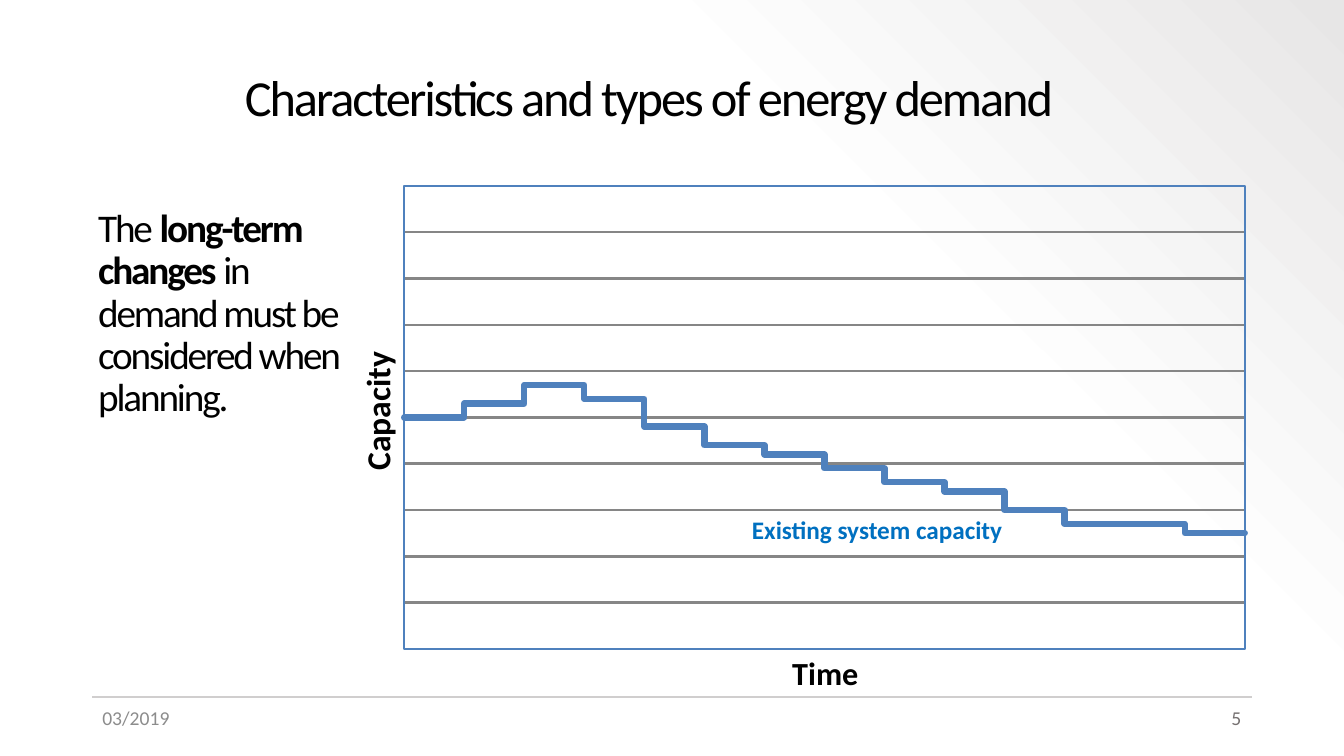
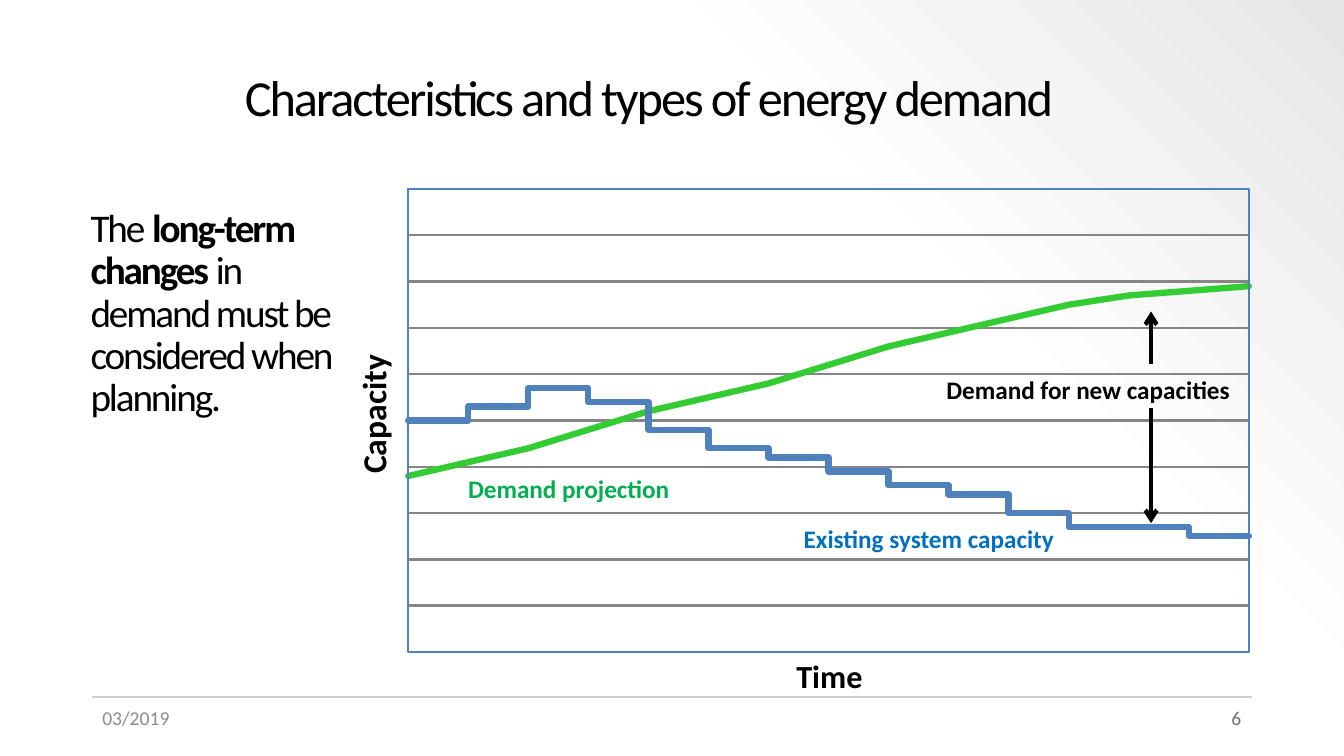
from dataclasses import dataclass

from lxml.etree import SubElement
from pptx import Presentation
from pptx.chart.data import XyChartData
from pptx.dml.color import RGBColor
from pptx.enum.chart import XL_CHART_TYPE, XL_TICK_LABEL_POSITION, XL_TICK_MARK
from pptx.enum.shapes import MSO_CONNECTOR, MSO_SHAPE
from pptx.enum.text import MSO_ANCHOR, PP_ALIGN
from pptx.oxml import parse_xml
from pptx.oxml.ns import nsdecls, qn
from pptx.util import Inches, Pt

# Slide grid: 96 columns by 54 rows of square cells
WIDTH, HEIGHT = Inches(13.333), Inches(7.5)
COLS, ROWS = 96, 54

FONT = "Calibri"
TITLE = "Characteristics and types of energy demand"
DATE = "03/2019"
BODY = [("The ", False), ("long-term changes", True),
        (" in demand must be considered when planning.", False)]

BLACK = RGBColor(0x00, 0x00, 0x00)
RULE_GREY = RGBColor(0xD0, 0xCE, 0xCE)
DATE_GREY = RGBColor(0x8C, 0x8C, 0x8C)
NUMBER_GREY = RGBColor(0x76, 0x71, 0x71)
GRID_GREY = RGBColor(0x86, 0x86, 0x86)
STEP_BLUE = RGBColor(0x4F, 0x81, 0xBD)
LABEL_BLUE = RGBColor(0x00, 0x70, 0xC0)
CURVE_GREEN = RGBColor(0x33, 0xCC, 0x33)
LABEL_GREEN = RGBColor(0x00, 0xB0, 0x50)

# Background stops: position, colour, opacity (percent)
BACKGROUND = [(0, "FFFFFF", 100), (69, "FDFDFD", 100), (100, "E7E6E6", 50)]

# Chart data: one capacity level per period, demand at each period boundary
CAPACITY = [5, 5.3, 5.7, 5.4, 4.8, 4.4, 4.2, 3.9, 3.6, 3.4, 3, 2.7, 2.7, 2.5]
DEMAND = [3.8, 4.1, 4.4, 4.8, 5.2, 5.5, 5.8, 6.2, 6.6, 6.9, 7.2, 7.5, 7.7,
          7.8, 7.9]
PLOT_W, PLOT_H, MARGIN = 60.05, 33.08, 1
LINE_H = 2.88


@dataclass
class Box:
    left: float
    top: float
    width: float
    height: float = LINE_H


@dataclass
class Label:
    text: str
    box: Box
    color: RGBColor


@dataclass
class Series:
    name: str
    points: list[tuple[float, float]]
    color: RGBColor


@dataclass
class Arrow:
    col: float
    start: float
    end: float


@dataclass
class Page:
    number: int
    body: Box
    plot_left: float
    plot_top: float
    capacity_left: float
    series: list[Series]
    labels: list[Label]
    arrows: list[Arrow]


STEPS = Series("Existing system capacity",
               [(x, y) for i, y in enumerate(CAPACITY) for x in (i, i + 1)],
               STEP_BLUE)
CURVE = Series("Demand projection", list(enumerate(DEMAND)), CURVE_GREEN)

PAGES = [
    Page(5, Box(6.3, 14.54, 19.22, 17.93), 28.87, 13.28, 20.81, [STEPS],
         [Label(STEPS.name, Box(53, 36.36, 19.51), LABEL_BLUE)], []),
    Page(6, Box(5.76, 14.54, 19.44, 17.93), 29.16, 13.5, 20.52,
         [STEPS, CURVE],
         [Label(STEPS.name, Box(56.7, 37.04, 19.51), LABEL_BLUE),
          Label("Demand for new capacities", Box(66.89, 26.35, 22.32), BLACK),
          Label(CURVE.name, Box(32.72, 33.48, 15.98), LABEL_GREEN)],
         [Arrow(82.22, 29.16, 37.37), Arrow(82.22, 25.99, 22.25)]),
]


def col(n: float) -> int:
    return round(WIDTH * n / COLS)


def row(n: float) -> int:
    return round(HEIGHT * n / ROWS)


def place(box: Box) -> tuple[int, int, int, int]:
    return col(box.left), row(box.top), col(box.width), row(box.height)


def add_text(slide, box: Box, runs: list[tuple[str, bool]], size: float,
             color: RGBColor, wrap: bool = True, inset: bool = True,
             spacing: int = 0, align=None, anchor=MSO_ANCHOR.TOP):
    sp = slide.shapes.add_textbox(*place(box))
    tf = sp.text_frame
    tf.word_wrap = wrap
    tf.vertical_anchor = anchor
    if not inset:
        tf.margin_left = tf.margin_right = tf.margin_top = tf.margin_bottom = 0
    p = tf.paragraphs[0]
    p.alignment = align
    p.font.name, p.font.size, p.font.color.rgb = FONT, Pt(size), color
    for text, bold in runs:
        r = p.add_run()
        r.text = text
        r.font.bold = bold
        if spacing:
            r.font._element.set("spc", str(spacing))
    if spacing:
        p.line_spacing = 0.9
    return sp


def add_line(slide, x1: float, y1: float, x2: float, y2: float,
             color: RGBColor, width: float, arrow: bool = False) -> None:
    line = slide.shapes.add_connector(MSO_CONNECTOR.STRAIGHT, col(x1), row(y1),
                                      col(x2), row(y2))
    line.line.color.rgb, line.line.width = color, Pt(width)
    if arrow:
        SubElement(line.line._get_or_add_ln(), qn("a:tailEnd"), type="arrow")
    SubElement(line._element.spPr, qn("a:effectLst"))


def set_background(master) -> None:
    fill = master.background.fill
    fill.gradient()
    fill.gradient_angle = 45
    stops = master.element.xpath("./p:cSld/p:bg//a:gsLst")[0]
    for old in list(stops):
        stops.remove(old)
    for pos, color, opacity in BACKGROUND:
        stop = SubElement(stops, qn("a:gs"), pos=str(pos * 1000))
        clr = SubElement(stop, qn("a:srgbClr"), val=color)
        if opacity < 100:
            SubElement(clr, qn("a:alpha"), val=str(opacity * 1000))


def style_axis(axis, maximum: float, gridlines: bool) -> None:
    axis.minimum_scale, axis.maximum_scale, axis.major_unit = 0, maximum, 1
    axis.tick_label_position = XL_TICK_LABEL_POSITION.NONE
    axis.major_tick_mark = axis.minor_tick_mark = XL_TICK_MARK.NONE
    axis.format.line.fill.background()
    axis.has_major_gridlines = gridlines
    if gridlines:
        line = axis.major_gridlines.format.line
        line.color.rgb, line.width = GRID_GREY, Pt(1.75)


def pin_plot(chart, frame: Box) -> None:
    """Fix the plot area inside a transparent chart frame."""
    shares = {"x": MARGIN / frame.width, "y": MARGIN / frame.height,
              "w": PLOT_W / frame.width, "h": PLOT_H / frame.height}
    values = "".join(f'<c:{k} val="{v:.4f}"/>' for k, v in shares.items())
    space = chart._chartSpace
    area = space.chart.plotArea
    for old in area.findall(qn("c:layout")):
        area.remove(old)
    area.insert(0, parse_xml(
        f'<c:layout {nsdecls("c")}><c:manualLayout>'
        '<c:layoutTarget val="inner"/><c:xMode val="edge"/>'
        f'<c:yMode val="edge"/>{values}</c:manualLayout></c:layout>'))
    clear = (f'<c:spPr {nsdecls("c", "a")}><a:noFill/>'
             '<a:ln><a:noFill/></a:ln></c:spPr>')
    area.append(parse_xml(clear))
    space.chart.addnext(parse_xml(clear))


def add_capacity_chart(slide, page: Page) -> None:
    data = XyChartData()
    for item in page.series:
        series = data.add_series(item.name)
        for x, y in item.points:
            series.add_data_point(x, y)
    frame = Box(page.plot_left - MARGIN, page.plot_top - MARGIN,
                PLOT_W + 2 * MARGIN, PLOT_H + 2 * MARGIN)
    chart = slide.shapes.add_chart(XL_CHART_TYPE.XY_SCATTER_LINES_NO_MARKERS,
                                   *place(frame), data).chart
    chart.has_legend = chart.has_title = False
    chart.font.name, chart.font.size = FONT, Pt(18)
    chart.font.color.rgb = BLACK
    chart.plots[0].vary_by_categories = False
    style_axis(chart.category_axis, len(CAPACITY), gridlines=False)
    style_axis(chart.value_axis, 10, gridlines=True)
    for series, item in zip(chart.plots[0].series, page.series):
        series.smooth = False
        line = series.format.line
        line.color.rgb, line.width = item.color, Pt(4.5)
        line._get_or_add_ln().set("cap", "rnd")
    pin_plot(chart, frame)
    # Blue border over the outer gridlines
    border = slide.shapes.add_shape(
        MSO_SHAPE.RECTANGLE,
        *place(Box(page.plot_left, page.plot_top, PLOT_W, PLOT_H)))
    border.shadow.inherit = False
    border.fill.background()
    border.line.color.rgb, border.line.width = STEP_BLUE, Pt(1.75)


def add_frame(slide, number: int) -> None:
    """Title, footer rule, date and slide number."""
    add_line(slide, 6.6, 49.78, 89.42, 49.78, RULE_GREY, 1.5)
    add_text(slide, Box(16.78, 2.82, 72.58, 8.64), [(TITLE, False)], 36, BLACK,
             spacing=-150, anchor=MSO_ANCHOR.MIDDLE)
    add_text(slide, Box(6.6, 50.04, 9.36), [(DATE, False)], 14, DATE_GREY)
    add_text(slide, Box(80.02, 50.04, 9.36), [(str(number), False)], 14,
             NUMBER_GREY, align=PP_ALIGN.RIGHT)


def add_page(prs, page: Page) -> None:
    slide = prs.slides.add_slide(prs.slide_layouts[6])
    add_frame(slide, page.number)
    add_text(slide, page.body, BODY, 28, BLACK, spacing=-150)
    add_capacity_chart(slide, page)
    # Axis names
    sp = add_text(slide, Box(page.capacity_left, page.plot_top + 12.78, 12.24),
                  [("Capacity", True)], 24, BLACK, inset=False)
    sp.rotation = 270
    add_text(slide, Box(page.plot_left + 27.72, page.plot_top + 33.38, 5.98,
                        3.38), [("Time", True)], 23, BLACK, wrap=False,
             inset=False)
    # Notes on the curves
    for label in page.labels:
        add_text(slide, label.box, [(label.text, True)], 18, label.color,
                 wrap=False)
    for arrow in page.arrows:
        add_line(slide, arrow.col, arrow.start, arrow.col, arrow.end, BLACK, 3,
                 arrow=True)


def main() -> None:
    prs = Presentation()
    prs.slide_width, prs.slide_height = WIDTH, HEIGHT
    set_background(prs.slide_master)
    for page in PAGES:
        add_page(prs, page)
    prs.save("out.pptx")


if __name__ == "__main__":
    main()
